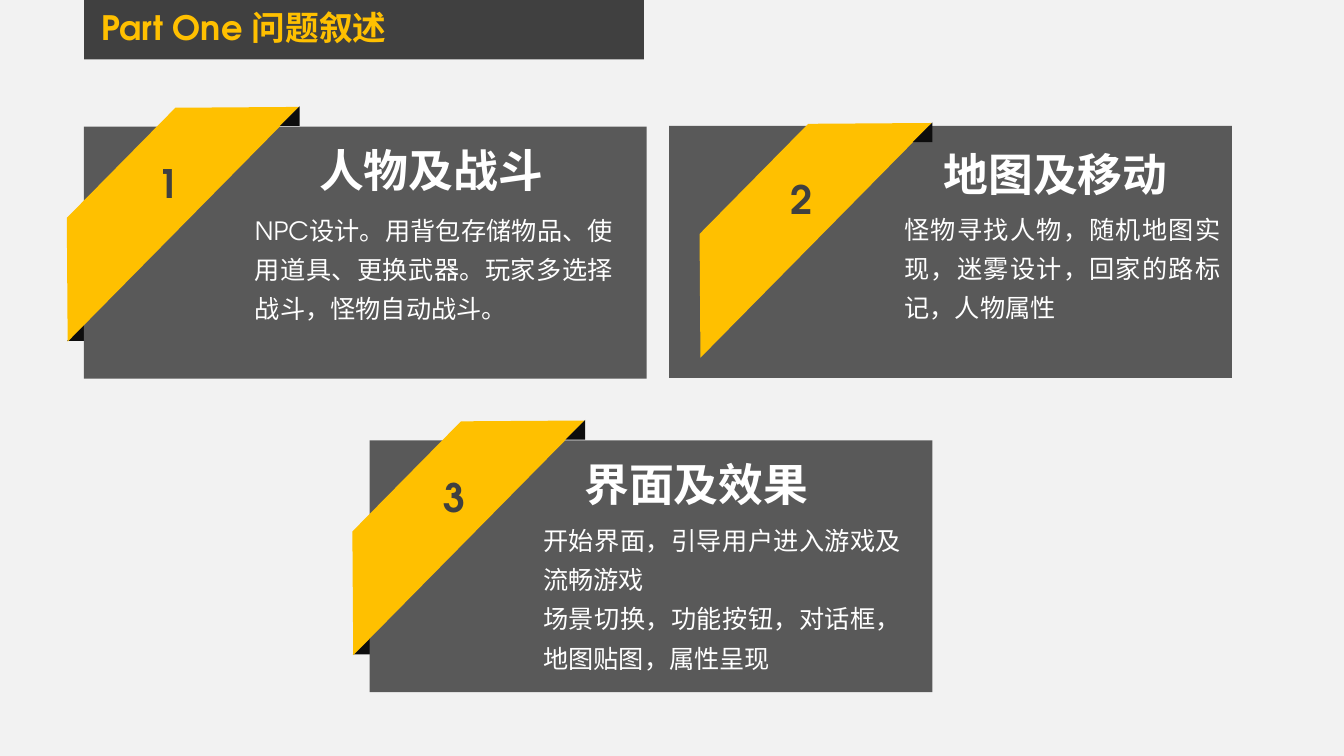
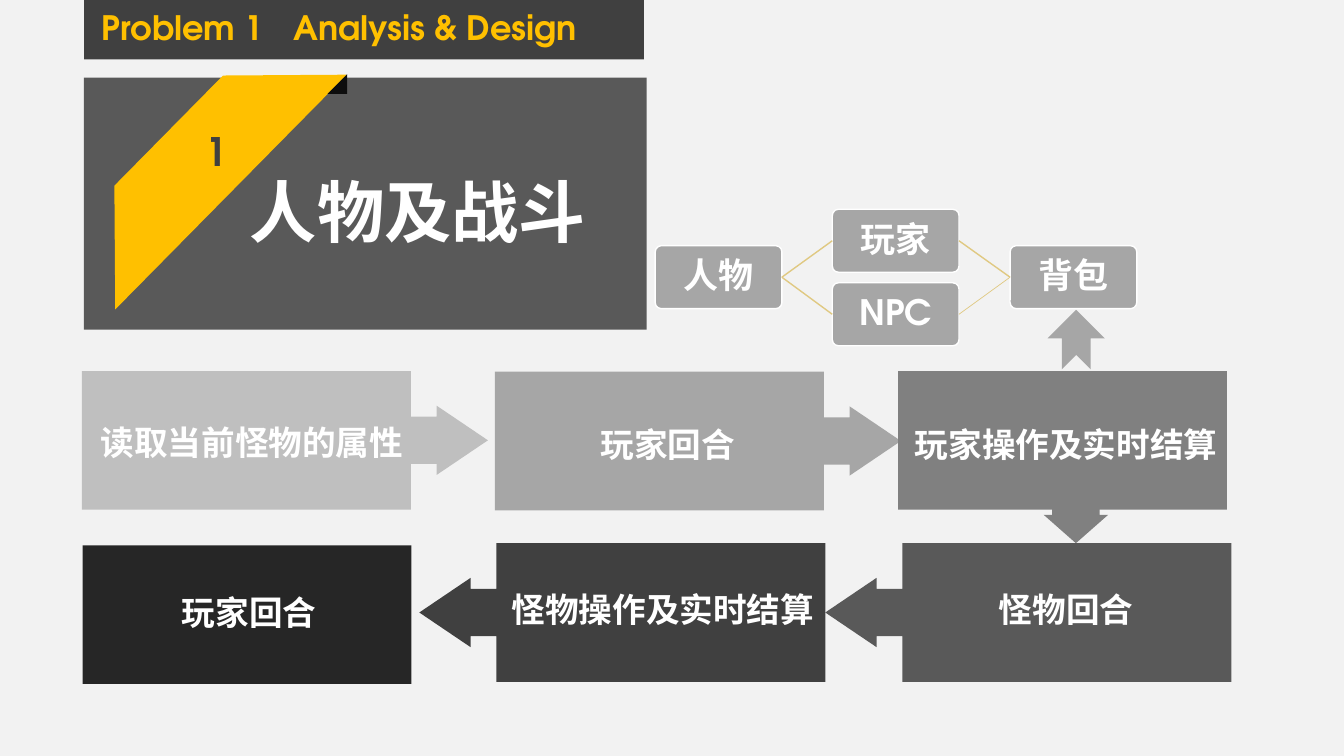
from lxml import etree
from pptx import Presentation
from pptx.dml.color import RGBColor
from pptx.enum import shapes, text
from pptx.oxml import ns
from pptx.util import Pt

FONT = "TeX Gyre Adventor"
COLORS = {
    "page": "F2F2F2", "band": "404040", "accent": "FFC000",
    "card": "595959", "fold": "0D0D0D", "white": "FFFFFF",
    "link": "E0C982", "node": "A6A6A6", "silver": "BFBFBF",
    "gray": "808080", "ink": "262626",
}
SHAPE = shapes.MSO_SHAPE
ALIGN = text.PP_ALIGN
CARD_W, CARD_H = 402, 180
STEP_W, STEP_H = 290, 99
BODY_SHARE = 0.81
NODE_W, NODE_H = 90.5, 45


def rgb(name):
    return RGBColor.from_string(COLORS[name])


def points(*lengths):
    return [Pt(length) for length in lengths]


def write(frame, content, size=24, color="white", bold=True, align=ALIGN.LEFT,
          spacing=None, wrap=False, anchor=text.MSO_ANCHOR.TOP, inset=None, tab=None):
    frame.word_wrap = wrap
    frame.vertical_anchor = anchor
    if inset is not None:
        frame.margin_left = frame.margin_right = Pt(inset)
        frame.margin_top = frame.margin_bottom = Pt(inset)
    for index, line in enumerate(content.split("\n")):
        paragraph = frame.add_paragraph() if index else frame.paragraphs[0]
        paragraph.alignment = align
        if spacing:
            paragraph.line_spacing = spacing
        if tab:
            properties = paragraph._p.get_or_add_pPr()
            stops = etree.SubElement(properties, ns.qn("a:tabLst"))
            etree.SubElement(stops, ns.qn("a:tab"), pos=str(Pt(tab)), algn="l")
        run = paragraph.add_run()
        run.text = line
        run.font.size = Pt(size)
        run.font.bold = bold
        run.font.color.rgb = rgb(color)
        run.font.name = FONT
        etree.SubElement(run._r.get_or_add_rPr(), ns.qn("a:ea"), typeface=FONT)


def label(slide, box, content, **style):
    write(slide.shapes.add_textbox(*points(*box)).text_frame, content, **style)


def block(slide, kind, box, color, adjust=(), turn=0, outline=None):
    shape = slide.shapes.add_shape(kind, *points(*box))
    shape.shadow.inherit = False
    shape.fill.solid()
    shape.fill.fore_color.rgb = rgb(color)
    if outline:
        shape.line.color.rgb = rgb(outline)
        shape.line.width = Pt(1)
    else:
        shape.line.fill.background()
    for index, value in enumerate(adjust):
        shape.adjustments[index] = value
    shape.rotation = turn
    return shape


def header(slide, title, tab=None):
    block(slide, SHAPE.RECTANGLE, (60, 0, 400, 42.5), "band")
    label(slide, (65.5, 4.5, 383, 36), title, color="accent", spacing=0.9,
          wrap=True, tab=tab)


def fold(slide, left, top):
    block(slide, SHAPE.ISOSCELES_TRIANGLE, (left, top, 14, 14), "fold", [1])


def card(slide, left, top, number, title, title_box, title_size=32, inner=False):
    if not inner:
        fold(slide, left - 12, top + 139)
    block(slide, SHAPE.RECTANGLE, (left, top, CARD_W, CARD_H), "card")
    x, y = (left + 34, top + 12) if inner else (left, top)
    block(slide, SHAPE.TRAPEZOID, (x - 69, y + 16.5, 235.5, 62.5), "accent",
          [1], 314.6)
    fold(slide, x + 140, y - 14.5)
    label(slide, (x + 45.5, y + 20, 30, 41), number, size=28, color="band")
    dx, dy, width, height = title_box
    label(slide, (left + dx, top + dy, width, height), title, size=title_size,
          align=ALIGN.CENTER)


def card_body(slide, left, top, width, content):
    label(slide, (left, top, width, 89), content, size=18, bold=False,
          align=ALIGN.JUSTIFY, spacing=1.3, wrap=True)


def step(slide, left, top, kind, color, content, text_center, text_top):
    width = STEP_W
    if kind == SHAPE.RECTANGLE:
        width, adjust = STEP_W * BODY_SHARE, ()
    else:
        adjust = (0.34, 0.25, 0.37, BODY_SHARE)
    block(slide, kind, (left, top, width, STEP_H), color, adjust)
    label(slide, (text_center - 116, top + text_top, 232, 36), content,
          align=ALIGN.CENTER)


def node(slide, left, top, content):
    shape = block(slide, SHAPE.ROUNDED_RECTANGLE, (left, top, NODE_W, NODE_H),
                  "node", [0.1], outline="white")
    write(shape.text_frame, content, size=25, align=ALIGN.CENTER, spacing=0.9,
          wrap=True, anchor=text.MSO_ANCHOR.MIDDLE, inset=1.5)
    return shape


def link(slide, source, target, width=1):
    line = slide.shapes.add_connector(shapes.MSO_CONNECTOR.STRAIGHT, 0, 0, 0, 0)
    line.begin_connect(source, 3)
    line.end_connect(target, 1)
    line.line.color.rgb = rgb("link")
    line.line.width = Pt(width)
    etree.SubElement(line._element.spPr, ns.qn("a:effectLst"))


def relations(slide, left, top):
    person = node(slide, left, top + 26, "人物")
    player = node(slide, left + 126.5, top, "玩家")
    npc = node(slide, left + 126.5, top + 52.5, "NPC")
    bag = node(slide, left + 253.5, top + 26, "背包")
    link(slide, person, player)
    link(slide, person, npc)
    link(slide, player, bag)
    link(slide, npc, bag, width=0.5)


def battle_flow(slide, left, top):
    block(slide, SHAPE.DOWN_ARROW, (left + 687, top + 96, 46, 27), "gray",
          (0.74, 0.75))
    right, back, plain = (SHAPE.RIGHT_ARROW_CALLOUT, SHAPE.LEFT_ARROW_CALLOUT,
                          SHAPE.RECTANGLE)
    steps = [
        (0, 0, right, "silver", "读取当前怪物的属性", 121.5, 32.5),
        (295, 0.5, right, "node", "玩家回合", 418.5, 34),
        (583, 0, plain, "gray", "玩家操作及实时结算", 703, 34.5),
        (531, 123, back, "card", "怪物回合", 703, 29),
        (241, 123, back, "band", "怪物操作及实时结算", 415, 29),
        (0.5, 124.5, plain, "ink", "玩家回合", 119.5, 29.5),
    ]
    for dx, dy, kind, color, content, center, text_top in steps:
        step(slide, left + dx, top + dy, kind, color, content, left + center, text_top)
    block(slide, SHAPE.NOTCHED_RIGHT_ARROW, (left + 689, top - 43, 42.5, 41),
          "node", turn=270)


def problem_slide(slide):
    header(slide, "Part One 问题叙述")
    cards = [
        (60, 90.5, "人物及战斗", (160, 8), (115, 53, 270), False,
         "NPC设计。用背包存储物品、使用道具、更换武器。玩家多选择战斗，怪物自动战斗。"),
        (478, 90, "地图及移动", (188, 11.5), (161, 53, 240), True,
         "怪物寻找人物，随机地图实现，迷雾设计，回家的路标记，人物属性"),
        (264, 314.5, "界面及效果", (145.5, 8), (117, 50.5, 270), False,
         "开始界面，引导用户进入游戏及流畅游戏\n场景切换，功能按钮，对话框，地图贴图，属性呈现"),
    ]
    for number, (left, top, title, title_at, body, inner, content) in enumerate(cards, 1):
        card(slide, left, top, str(number), title, (*title_at, 176, 46), inner=inner)
        dx, dy, width = body
        card_body(slide, left + dx, top + dy, width, content)


def design_slide(slide):
    header(slide, "Problem 1\tAnalysis & Design", tab=137)
    battle_flow(slide, 58.5, 265)
    card(slide, 60, 55.5, "1", "人物及战斗", (110, 62.5, 257, 65.5), 48, inner=True)
    relations(slide, 468, 149.5)


def main():
    deck = Presentation()
    deck.slide_width, deck.slide_height = points(960, 540)
    page = deck.slide_master.background.fill
    page.solid()
    page.fore_color.rgb = rgb("page")
    for build in (problem_slide, design_slide):
        build(deck.slides.add_slide(deck.slide_layouts[6]))
    deck.save("out.pptx")


if __name__ == "__main__":
    main()
